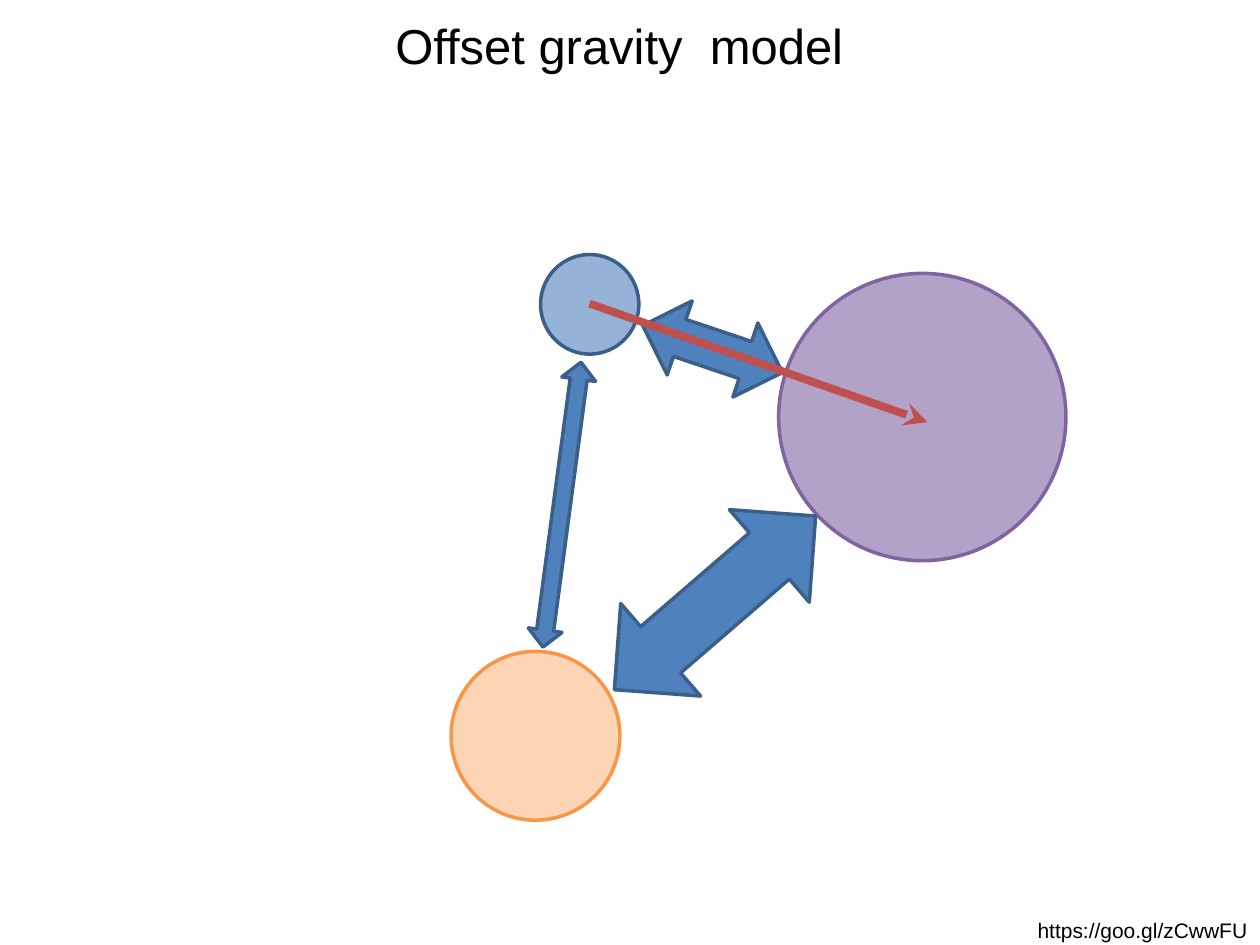
from lxml import etree
from pptx import Presentation
from pptx.dml.color import RGBColor
from pptx.enum.shapes import MSO_CONNECTOR, MSO_SHAPE
from pptx.enum.text import MSO_ANCHOR, PP_ALIGN
from pptx.oxml.ns import qn
from pptx.util import Inches, Pt

OVAL, ARROW = MSO_SHAPE.OVAL, MSO_SHAPE.LEFT_RIGHT_ARROW
LINE = MSO_CONNECTOR.STRAIGHT
TOP, MIDDLE = MSO_ANCHOR.TOP, MSO_ANCHOR.MIDDLE
CENTER, RIGHT = PP_ALIGN.CENTER, PP_ALIGN.RIGHT

# Grid of 100 columns by 75 rows with square cells
CELL = Inches(0.1)


def grid(*cells):
    return [round(n * CELL) for n in cells]


def paint(part, color):
    if hasattr(part, "solid"):
        part.solid()
        part = part.fore_color
    part.rgb = RGBColor.from_string(color)


deck = Presentation()
deck.slide_width, deck.slide_height = grid(100, 75)
slide = deck.slides.add_slide(deck.slide_layouts[6])
shapes = slide.shapes

# Link and title
texts = [
    ("https://goo.gl/zCwwFU", (78.9, 72.3, 21.1, 4.3), 12, RIGHT, TOP),
    ("Offset gravity  model", (13.3, 0.5, 71.7, 6.2), 28, CENTER, MIDDLE),
]
for words, place, size, align, anchor in texts:
    frame = shapes.add_textbox(*grid(*place)).text_frame
    frame.word_wrap = True
    frame.vertical_anchor = anchor
    para = frame.paragraphs[0]
    para.text = words
    para.alignment = align
    font = para.runs[0].font
    for key, value in {"name": "Arial", "size": Pt(size)}.items():
        setattr(font, key, value)
    paint(font.color, "000000")

# Bodies, then the arrows of pull between them
BLUE, NAVY = "4F81BD", "3A5F8B"
parts = [
    (OVAL, (35.8, 51.7, 13.4, 13.4), 0, "FCD5B5", "F79646"),
    (OVAL, (61.8, 21.7, 22.8, 22.8), 0, "B3A2C7", "8064A2"),
    (OVAL, (42.9, 20.2, 7.8, 7.9), 0, "95B3D7", NAVY),
    (ARROW, (33.2, 38.7, 22.8, 2.7), 277.6, BLUE, NAVY),
    (ARROW, (46.2, 43, 21.1, 9.7), 319.2, BLUE, NAVY),
    (ARROW, (50.7, 24.6, 11.7, 6.2), 18.6, BLUE, NAVY),
]
for kind, place, turn, fill, edge in parts:
    shape = shapes.add_shape(kind, *grid(*place))
    shape.rotation = turn
    shape.shadow.inherit = False
    paint(shape.fill, fill)
    paint(shape.line.color, edge)
    shape.line.width = Pt(2)

# Offset from the small body to the large one
offset = shapes.add_connector(LINE, *grid(46.8, 24.1, 73.6, 33.5))
paint(offset.line.color, "C0504D")
offset.line.width = Pt(4.5)
etree.SubElement(offset.line._get_or_add_ln(), qn("a:tailEnd"), type="stealth")
etree.SubElement(offset._element.spPr, qn("a:effectLst"))

deck.save("out.pptx")
